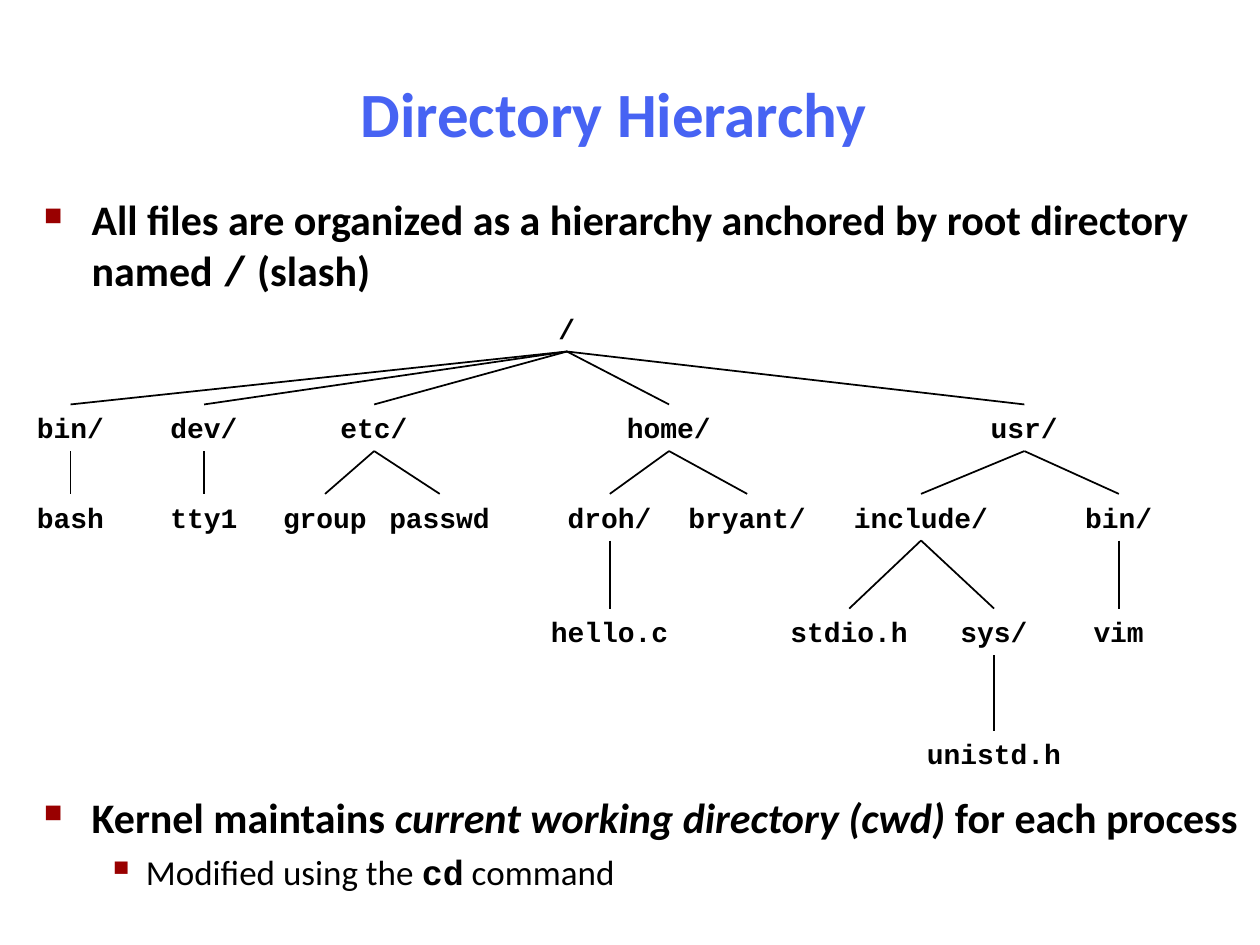
import pptx
import pptx.util
import pptx.dml.color
import pptx.enum.shapes
import pptx.enum.text
import pptx.oxml.ns
import lxml.etree

COLORS = {"title": "4763F3", "text": "000000", "mark": "990000"}
SANS, MONO = "Calibri", "Courier New"
COLS, ROWS = 100, 75

# Top row of each tree level, and the size of a label
LEVELS = [24.2, 32.1, 39.2, 48.3, 58]
TALL, PAD, CHAR = 3.7, 2, 1.33

# Each node: label, centre column, children
TREE = ("/", 45, [
    ("bin/", 5.6, [("bash", 5.6, [])]),
    ("dev/", 16.2, [("tty1", 16.2, [])]),
    ("etc/", 29.7, [("group", 25.8, []), ("passwd", 34.9, [])]),
    ("home/", 53.1, [
        ("droh/", 48.4, [("hello.c", 48.4, [])]),
        ("bryant/", 59.3, [])]),
    ("usr/", 81.3, [
        ("include/", 73.1, [
            ("stdio.h", 67.4, []),
            ("sys/", 78.9, [("unistd.h", 78.9, [])])]),
        ("bin/", 88.8, [("vim", 88.8, [])])]),
])


class Deck:
    def __init__(self):
        self.prs = pptx.Presentation()
        self.prs.slide_width = pptx.util.Inches(10)
        self.prs.slide_height = pptx.util.Inches(7.5)
        self.slide = self.prs.slides.add_slide(self.prs.slide_layouts[5])
        self.shapes = self.slide.shapes

    def rect(self, x, y, w, h):
        col = self.prs.slide_width / COLS
        row = self.prs.slide_height / ROWS
        return [int(n) for n in (x * col, y * row, w * col, h * row)]

    def run(self, para, text, size, font=SANS, color="text", bold=True, slant=False):
        run = para.add_run()
        run.text = text
        face = run.font
        face.name, face.size = font, pptx.util.Pt(size)
        face.bold, face.italic = bold, slant
        face.color.rgb = pptx.dml.color.RGBColor.from_string(COLORS[color])

    def title(self, text, *place):
        box = self.shapes.title
        box.left, box.top, box.width, box.height = self.rect(*place)
        frame = box.text_frame
        frame.auto_size = pptx.enum.text.MSO_AUTO_SIZE.NONE
        frame.vertical_anchor = pptx.enum.text.MSO_ANCHOR.MIDDLE
        para = frame.paragraphs[0]
        para.alignment = pptx.enum.text.PP_ALIGN.CENTER
        self.run(para, text, 36, color="title")

    def body(self, *place):
        frame = self.shapes.add_textbox(*self.rect(*place)).text_frame
        frame.word_wrap = True
        return frame

    def bullet(self, para, mark, share, left, hang, space=0, level=0):
        para.level = level
        para.space_before = pptx.util.Pt(space)
        props = para._p.get_or_add_pPr()
        props.set("marL", str(pptx.util.Inches(left)))
        props.set("indent", str(-pptx.util.Inches(hang)))
        qn = pptx.oxml.ns.qn
        color = lxml.etree.SubElement(props, qn("a:buClr"))
        lxml.etree.SubElement(color, qn("a:srgbClr"), val=COLORS["mark"])
        lxml.etree.SubElement(props, qn("a:buSzPct"), val=str(share * 1000))
        lxml.etree.SubElement(props, qn("a:buChar"), char=mark)

    def label(self, text, mid, top):
        wide = PAD + CHAR * len(text)
        box = self.shapes.add_textbox(*self.rect(mid - wide / 2, top, wide, TALL))
        frame = box.text_frame
        frame.word_wrap = False
        frame.auto_size = pptx.enum.text.MSO_AUTO_SIZE.SHAPE_TO_FIT_TEXT
        self.run(frame.paragraphs[0], text, 16, MONO)
        return box

    def link(self, start, end):
        line = self.shapes.add_connector(
            pptx.enum.shapes.MSO_CONNECTOR.STRAIGHT, 0, 0, 0, 0)
        line.begin_connect(start, 2)
        line.end_connect(end, 0)
        line.line.width = pptx.util.Pt(1)
        line.line.color.rgb = pptx.dml.color.RGBColor.from_string(COLORS["text"])
        lxml.etree.SubElement(line._element.spPr, pptx.oxml.ns.qn("a:effectLst"))

    def tree(self, node, level=0):
        text, mid, kids = node
        box = self.label(text, mid, LEVELS[level])
        for kid in kids:
            self.link(box, self.tree(kid, level + 1))
        return box


def main():
    deck = Deck()
    deck.title("Directory Hierarchy", 7.2, 4.8, 83, 8.3)

    # Points above and below the tree
    frame = deck.body(2.5, 14.9, 97.3, 57.6)
    para = frame.paragraphs[0]
    deck.bullet(para, "■", 60, 0.38, 0.38)
    deck.run(para, "All files are organized as a hierarchy anchored by "
                   "root directory named ", 24)
    deck.run(para, "/", 24, MONO)
    deck.run(para, " (slash)", 24)

    para = frame.add_paragraph()
    deck.bullet(para, "■", 60, 0.38, 0.38, space=284)
    deck.run(para, "Kernel maintains ", 24)
    deck.run(para, "current working directory (cwd) ", 24, slant=True)
    deck.run(para, "for each process", 24)

    para = frame.add_paragraph()
    deck.bullet(para, "▪", 110, 0.81, 0.31, space=5, level=1)
    deck.run(para, "Modified using the ", 20, bold=False)
    deck.run(para, "cd", 20, MONO)
    deck.run(para, " command", 20, bold=False)

    # Directory tree
    deck.tree(TREE)
    deck.prs.save("out.pptx")


if __name__ == "__main__":
    main()
